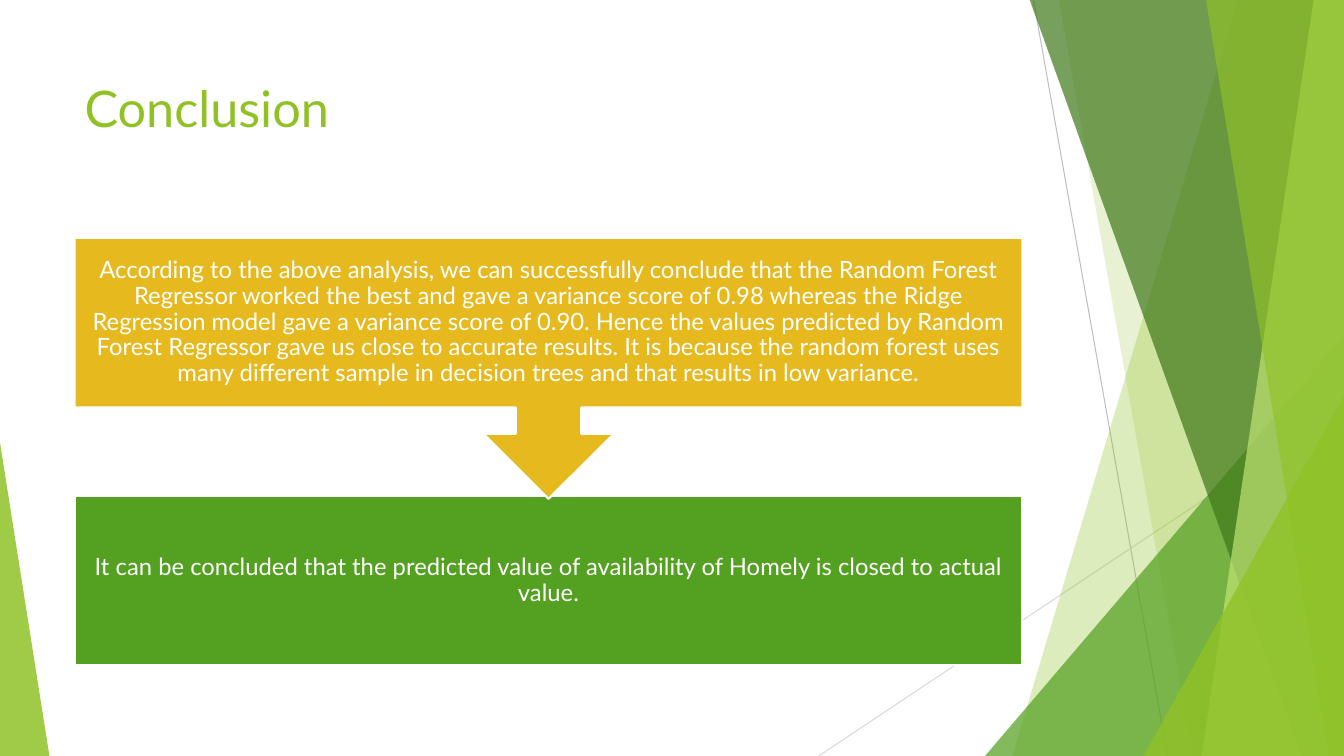
from lxml import etree
from pptx import Presentation
from pptx.dml.color import RGBColor
from pptx.enum import shapes, text
from pptx.oxml.ns import qn
from pptx.util import Inches, Pt

WIDE, HIGH = 13.33, 7.5
LIME, GREEN, GOLD, WHITE = "90C226", "54A021", "E6B91E", "FFFFFF"
KIND = shapes.MSO_SHAPE

FINDING = (
    "According to the above analysis, we can successfully conclude that the Random Forest "
    "Regressor worked the best and gave a variance score of 0.98 whereas the Ridge Regression "
    "model gave a variance score of 0.90. Hence the values predicted by Random Forest Regressor "
    "gave us close to accurate results. It is because the random forest uses many different "
    "sample in decision trees and that results in low variance."
)
RESULT = ("It can be concluded that the predicted value of availability of Homely "
          "is closed to actual value.")


def color(code):
    return RGBColor.from_string(code)


def paint(shape, fill, alpha=100, edge=None):
    """Fill with alpha in percent; outline only if an edge colour is given."""
    shape.shadow.inherit = False
    shape.fill.solid()
    shape.fill.fore_color.rgb = color(fill)
    if alpha < 100:
        tint = shape.fill._xPr.find(qn("a:solidFill"))[0]
        etree.SubElement(tint, qn("a:alpha")).set("val", str(alpha * 1000))
    if edge:
        shape.line.color.rgb = color(edge)
        shape.line.width = Pt(1.5)
    else:
        shape.line.fill.background()


def block(slide, kind, box, fill, adjust=None, **style):
    shape = slide.shapes.add_shape(kind, *map(Inches, box))
    if adjust is not None:
        shape.adjustments[0] = adjust
    paint(shape, fill, **style)
    return shape


def band(slide, box, tops, feet, fill, alpha):
    """Four-sided strip; tops and feet are x offsets within the box."""
    left, top, high = box
    points = [(left + x, top) for x in tops] + [(left + x, top + high) for x in feet]
    points = [tuple(map(Inches, point)) for point in points]
    form = slide.shapes.build_freeform(*points[0])
    form.add_line_segments(points[1:], close=True)
    paint(form.convert_to_shape(), fill, alpha)


def rule(slide, start, end, tone):
    line = slide.shapes.add_connector(shapes.MSO_CONNECTOR.STRAIGHT,
                                      *map(Inches, start + end))
    line.line.color.rgb = color(tone)
    line.line.width = Pt(0.75)
    etree.SubElement(line._element.spPr, qn("a:effectLst"))


def write(slide, box, words, size=17, tone=WHITE, align="CENTER", anchor="MIDDLE",
          inset=0.13, space=0.9):
    frame = slide.shapes.add_textbox(*map(Inches, box)).text_frame
    frame.word_wrap = True
    frame.vertical_anchor = text.MSO_ANCHOR[anchor]
    frame.margin_left = frame.margin_right = Inches(inset)
    frame.margin_top = frame.margin_bottom = Inches(min(inset, 0.13))
    para = frame.paragraphs[0]
    para.alignment = text.PP_ALIGN[align]
    para.line_spacing = space
    run = para.add_run()
    run.text = words
    run.font.size = Pt(size)
    run.font.name = "Lato"
    run.font.color.rgb = color(tone)


def facets(slide, box):
    """Overlapping green strips down the right side."""
    left, top, wide, high = box
    right, foot = left + wide, top + high

    def strip(inset, lean, fill, alpha):
        """Strip to the right edge, its left side running from inset to lean."""
        band(slide, (left, top - 0.01, high + 0.01), (inset, wide), (wide, lean), fill, alpha)

    def peak(width, height, fill, alpha):
        block(slide, KIND.ISOSCELES_TRIANGLE, (right - width, foot - height, width, height),
              fill, 1, alpha=alpha)

    rule(slide, (left + 0.48, top), (left + 1.81, foot), "BFBFBF")
    rule(slide, (right, top + 4.03), (left - 1.65, foot), "D9D9D9")
    strip(2.51, 0.27, LIME, 30)
    strip(0.73, 2.06, LIME, 20)
    peak(3.56, 4.17, GREEN, 72)
    strip(0.44, 3.14, "3F7819", 70)
    strip(3.26, 2.15, "C0E474", 70)
    strip(2.19, 3.41, LIME, 65)
    peak(1.99, 3.57, LIME, 80)


def corner(slide, box):
    block(slide, KIND.ISOSCELES_TRIANGLE, box, LIME, 0, alpha=85)


def flow(slide, box):
    """Gold callout pointing down to a green box."""
    left, top, wide, high = box
    body, reach = 1.68, 2.59
    last = (left, top + high - body, wide, body)
    block(slide, KIND.RECTANGLE, last, GREEN, edge=WHITE)
    write(slide, last, RESULT)
    call = block(slide, KIND.UP_ARROW_CALLOUT, (left, top, wide, reach), GOLD, edge=WHITE)
    call.rotation = 180
    write(slide, (left, top, wide, body), FINDING)


def main():
    deck = Presentation()
    deck.slide_width, deck.slide_height = Inches(WIDE), Inches(HIGH)
    slide = deck.slides.add_slide(deck.slide_layouts[6])
    facets(slide, (9.77, 0, 3.56, HIGH))
    corner(slide, (0, 4.39, 0.49, 3.11))
    write(slide, (0.74, 0.67, 9.4, 1.44), "Conclusion", size=36, tone=LIME,
          align="LEFT", anchor="TOP", inset=0.1, space=1)
    flow(slide, (0.74, 2.36, 9.4, 4.24))
    deck.save("out.pptx")


if __name__ == "__main__":
    main()
